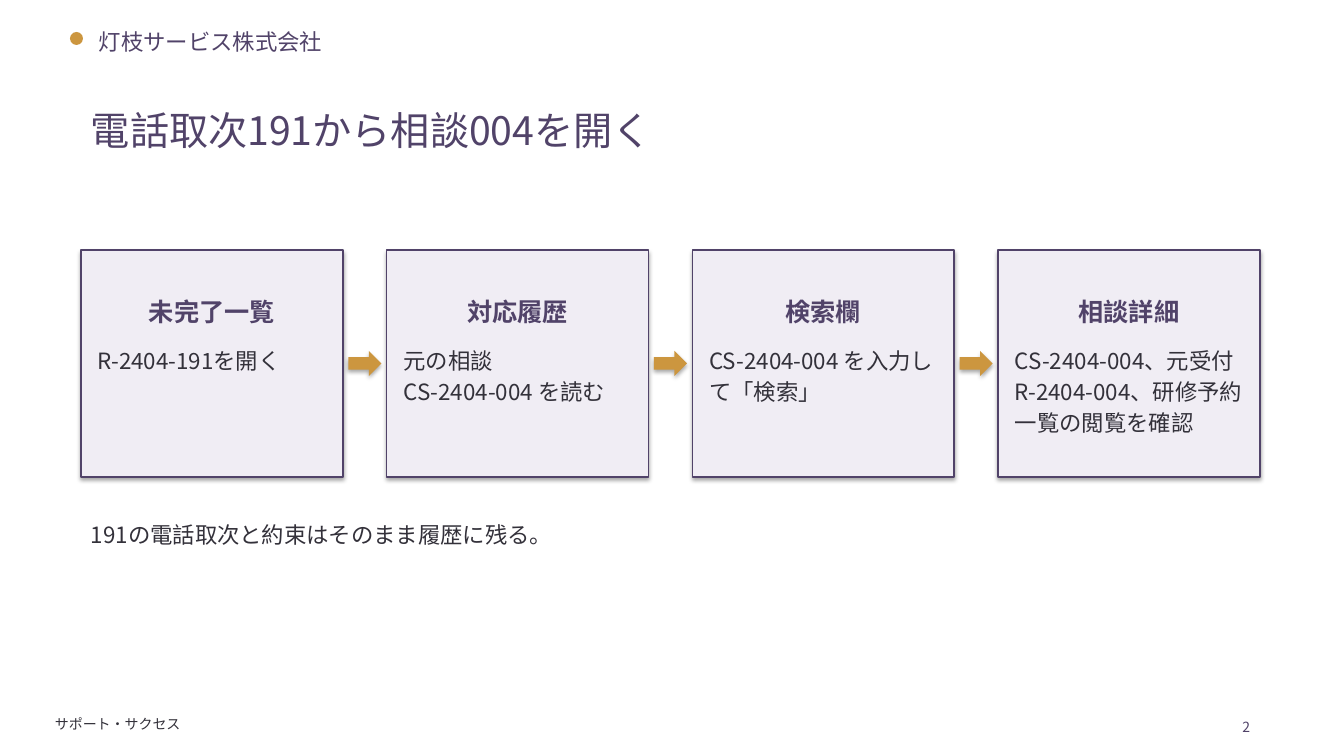
from lxml import etree
from pptx import Presentation, util as u
from pptx.dml.color import RGBColor
from pptx.enum import shapes, text
from pptx.oxml import ns

PX = 914400 / 100.8
FONT = "Noto Sans CJK JP"
PURPLE = RGBColor(0x51, 0x43, 0x69)
GOLD = RGBColor(0xCC, 0x96, 0x3F)
LILAC = RGBColor(0xF0, 0xED, 0xF4)
INK = RGBColor(0x33, 0x31, 0x3A)

STEPS = [
    ("未完了一覧", "R-2404-191を開く"),
    ("対応履歴", "元の相談\vCS-2404-004 を読む"),
    ("検索欄", "CS-2404-004 を入力して「検索」"),
    ("相談詳細", "CS-2404-004、元受付 R-2404-004、研修予約一覧の閲覧を確認"),
]


def place(*lengths):
    """Turn px lengths into EMU."""
    return [u.Emu(round(length * PX)) for length in lengths]


def set_all(target, values):
    """Set attributes from a dict of format values."""
    for name, value in values.items():
        setattr(target, name, value)


def write(para, words, size, color, bold=False, **layout):
    """Fill a paragraph and format its spans."""
    para.text = words
    set_all(para, layout)
    for span in para.runs:
        set_all(span.font, {"name": FONT, "size": u.Pt(size), "bold": bold})
        span.font.color.rgb = color
        east = etree.SubElement(span._r.get_or_add_rPr(), ns.qn("a:ea"))
        east.set("typeface", FONT)


def add_label(page, box, words, size, color, wrap=True, grow=True, **layout):
    """Add one text box with a single paragraph."""
    frame = page.shapes.add_textbox(*place(*box)).text_frame
    fit = text.MSO_AUTO_SIZE.SHAPE_TO_FIT_TEXT if grow else text.MSO_AUTO_SIZE.NONE
    set_all(frame, {"word_wrap": wrap, "auto_size": fit})
    write(frame.paragraphs[0], words, size, color, **layout)


def add_solid(page, kind, box, fill):
    """Add a filled preset shape without an outline."""
    solid = page.shapes.add_shape(kind, *place(*box))
    solid.fill.solid()
    solid.fill.fore_color.rgb = fill
    solid.line.fill.background()
    return solid


def add_header(page, box):
    """Add the mark and company name."""
    left, top, width, height = box
    dot = add_solid(page, shapes.MSO_SHAPE.OVAL, (left + 27, top + 9, 13, 13), GOLD)
    dot.shadow.inherit = False
    add_label(page, (left + 46, top, width - 46, height),
              "灯枝サービス株式会社", 16, PURPLE, wrap=False)


def add_card(page, box, heading, body):
    """Add one step card with a heading and body."""
    card = add_solid(page, shapes.MSO_SHAPE.RECTANGLE, box, LILAC)
    card.line.color.rgb = PURPLE
    card.line.width = u.Pt(1.1)
    frame = card.text_frame
    side, top, bottom = place(17, 42, 5)
    set_all(frame, {"margin_left": side, "margin_right": side,
                    "margin_top": top, "margin_bottom": bottom,
                    "vertical_anchor": text.MSO_ANCHOR.TOP, "word_wrap": True})
    write(frame.paragraphs[0], heading, 18, PURPLE, bold=True, line_spacing=1.15,
          alignment=text.PP_ALIGN.CENTER, space_after=u.Pt(12))
    write(frame.add_paragraph(), body, 16, INK, line_spacing=1.15,
          alignment=text.PP_ALIGN.LEFT)


def add_flow(page, box, steps):
    """Spread the step cards over the box, with arrows between them."""
    left, top, width, height = box
    card_width, arrow_width, arrow_height = 262, 33, 25
    pitch = (width - card_width) / (len(steps) - 1)
    inset = (pitch - card_width - arrow_width) / 2
    for index, (heading, body) in enumerate(steps):
        x = left + index * pitch
        if index:
            add_solid(page, shapes.MSO_SHAPE.RIGHT_ARROW,
                      (x - inset - arrow_width, top + (height - arrow_height) / 2,
                       arrow_width, arrow_height), GOLD)
        add_card(page, (x, top, card_width, height), heading, body)


def add_footer(page, box):
    """Add the department name and page number."""
    left, top, width, height = box
    add_label(page, (left, top, 212, height), "サポート・サクセス", 10, INK, wrap=False)
    add_label(page, (left + width - 40, top, 40, height + 2), "2", 10, PURPLE,
              alignment=text.PP_ALIGN.RIGHT, line_spacing=1.15)


def main():
    """Build and save the deck."""
    deck = Presentation()
    deck.slide_width, deck.slide_height = place(1344, 756)
    page = deck.slides.add_slide(deck.slide_layouts[6])
    add_header(page, (43, 23, 338, 45))
    add_label(page, (81, 101, 1179, 81), "電話取次191から相談004を開く", 28, PURPLE,
              grow=False)
    add_flow(page, (81, 250, 1179, 227), STEPS)
    add_label(page, (81, 512, 1179, 66), "191の電話取次と約束はそのまま履歴に残る。",
              16, INK, line_spacing=1.15)
    add_footer(page, (45, 711, 1215, 25))
    deck.save("out.pptx")


if __name__ == "__main__":
    main()
